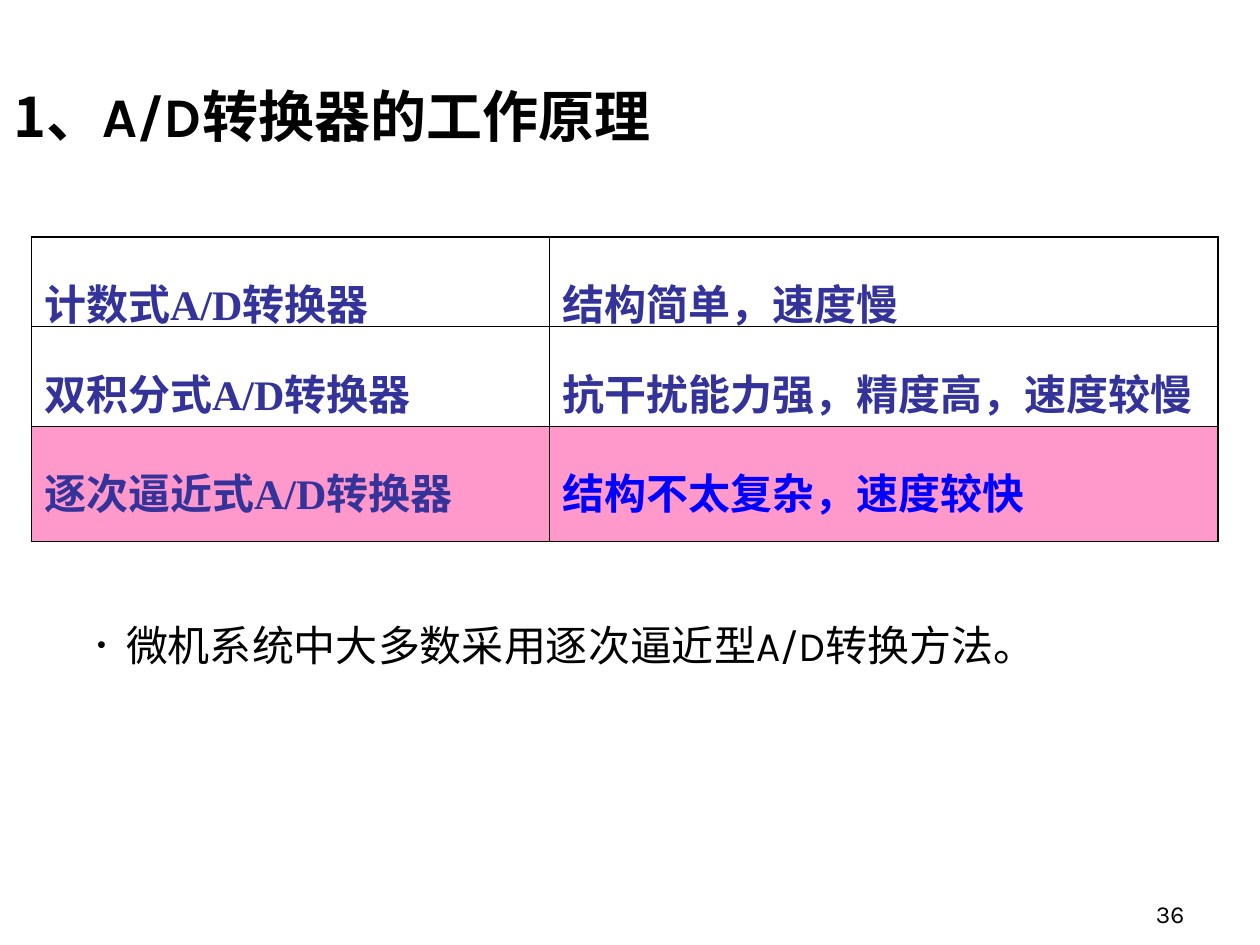
import pptx
import pptx.dml.color
import pptx.enum.text
import pptx.oxml.ns
import pptx.util
from lxml import etree

Pt = pptx.util.Pt
RGBColor = pptx.dml.color.RGBColor
PP_ALIGN = pptx.enum.text.PP_ALIGN
MSO_ANCHOR = pptx.enum.text.MSO_ANCHOR
MSO_AUTO_SIZE = pptx.enum.text.MSO_AUTO_SIZE
qn = pptx.oxml.ns.qn

BLACK = RGBColor(0x00, 0x00, 0x00)
INDIGO = RGBColor(0x33, 0x33, 0x99)
BLUE = RGBColor(0x00, 0x00, 0xFF)
PINK = RGBColor(0xFF, 0x99, 0xCC)

LATIN_FONT = "Karla"
CHINESE_FONT = "Noto Sans CJK SC"
TABLE_FONT = "Times New Roman"

OUTER_BORDER = 1.08
INNER_BORDER = 0.45

COLUMN_WIDTHS = [296, 382]
ROW_HEIGHTS = [51, 57, 66]
CONVERTERS = [
    ("计数式A/D转换器", "结构简单，速度慢"),
    ("双积分式A/D转换器", "抗干扰能力强，精度高，速度较慢"),
    ("逐次逼近式A/D转换器", "结构不太复杂，速度较快"),
]


def add_text(paragraph, text, size=24, font=LATIN_FONT, color=BLACK, bold=False):
    run = paragraph.add_run()
    run.text = text
    run.font.size = Pt(size)
    run.font.bold = bold
    run.font.color.rgb = color
    run.font.name = font
    east_asian = etree.Element(qn("a:ea"), typeface=CHINESE_FONT)
    run.font._element.find(qn("a:latin")).addnext(east_asian)


def place(shape, left, top, width, height):
    shape.left, shape.top = Pt(left), Pt(top)
    shape.width, shape.height = Pt(width), Pt(height)


def format_frame(frame, margins, anchor=MSO_ANCHOR.TOP, auto_size=MSO_AUTO_SIZE.NONE):
    """Set the frame's margins (left, top, right, bottom) and return its first paragraph."""
    frame.word_wrap = True
    frame.auto_size = auto_size
    frame.vertical_anchor = anchor
    frame.margin_left, frame.margin_top, frame.margin_right, frame.margin_bottom = map(Pt, margins)
    return frame.paragraphs[0]


def add_bullet(paragraph, indent, percent):
    properties = paragraph._p.get_or_add_pPr()
    properties.set("marL", str(Pt(indent)))
    properties.set("indent", str(-Pt(indent)))
    color = etree.SubElement(properties, qn("a:buClr"))
    etree.SubElement(color, qn("a:srgbClr"), val=str(BLACK))
    etree.SubElement(properties, qn("a:buSzPct"), val=str(percent * 1000))
    etree.SubElement(properties, qn("a:buChar"), char="•")


def set_borders(cell, widths):
    """Draw black borders; widths are in the order left, right, top, bottom."""
    properties = cell._tc.get_or_add_tcPr()
    for index, (side, width) in enumerate(zip("LRTB", widths)):
        line = etree.Element(qn(f"a:ln{side}"), w=str(Pt(width)))
        fill = etree.SubElement(line, qn("a:solidFill"))
        etree.SubElement(fill, qn("a:srgbClr"), val=str(BLACK))
        properties.insert(index, line)


def fill_cell(cell, text, color, background):
    cell.margin_left = cell.margin_right = Pt(7.2)
    cell.margin_top, cell.margin_bottom = Pt(9.6), Pt(3.6)
    if background is None:
        cell.fill.background()
    else:
        cell.fill.solid()
        cell.fill.fore_color.rgb = background
    paragraph = cell.text_frame.paragraphs[0]
    paragraph.line_spacing = 1.3
    add_text(paragraph, text, font=TABLE_FONT, color=color, bold=True)


def add_converter_table(slide):
    last_row, last_column = len(ROW_HEIGHTS) - 1, len(COLUMN_WIDTHS) - 1
    table = slide.shapes.add_table(
        len(ROW_HEIGHTS), len(COLUMN_WIDTHS), Pt(18), Pt(135.5),
        Pt(sum(COLUMN_WIDTHS)), Pt(sum(ROW_HEIGHTS))).table
    table.first_row = table.horz_banding = False
    for column, width in zip(table.columns, COLUMN_WIDTHS):
        column.width = Pt(width)
    for row, height in zip(table.rows, ROW_HEIGHTS):
        row.height = Pt(height)
    for row, texts in enumerate(CONVERTERS):
        for column, text in enumerate(texts):
            cell = table.cell(row, column)
            highlighted = row == last_row
            color = BLUE if highlighted and column == last_column else INDIGO
            fill_cell(cell, text, color, PINK if highlighted else None)
            on_edge = (column == 0, column == last_column, row == 0, highlighted)
            set_borders(cell, [OUTER_BORDER if edge else INNER_BORDER for edge in on_edge])


def add_title(slide):
    title = slide.shapes.title
    place(title, -14.4, 43.2, 612, 60)
    paragraph = format_frame(title.text_frame, (22, 3.6, 7.2, 3.6))
    paragraph.alignment = PP_ALIGN.LEFT
    add_text(paragraph, "1、", size=32, font=CHINESE_FONT, bold=True)
    add_text(paragraph, "A/D转换器的工作原理", size=32, bold=True)


def add_conclusion(slide):
    body = slide.placeholders[1]
    place(body, 55.5, 354.2, 538.5, 29)
    paragraph = format_frame(body.text_frame, (0, 0, 0, 0),
                             auto_size=MSO_AUTO_SIZE.SHAPE_TO_FIT_TEXT)
    add_bullet(paragraph, indent=16.5, percent=60)
    paragraph.space_before = Pt(0)
    add_text(paragraph, "微机系统中大多数采用逐次逼近型A/D转换方法。")


def add_page_number(slide):
    box = slide.shapes.add_textbox(Pt(534), Pt(498), Pt(150), Pt(36))
    paragraph = format_frame(box.text_frame, (7.2, 3.6, 7.2, 3.6), MSO_ANCHOR.BOTTOM)
    paragraph.alignment = PP_ALIGN.RIGHT
    add_text(paragraph, "36", size=14)


def main():
    presentation = pptx.Presentation()
    presentation.slide_width, presentation.slide_height = Pt(720), Pt(540)
    slide = presentation.slides.add_slide(presentation.slide_layouts[1])
    add_title(slide)
    add_converter_table(slide)
    add_conclusion(slide)
    add_page_number(slide)
    presentation.save("out.pptx")


if __name__ == "__main__":
    main()
